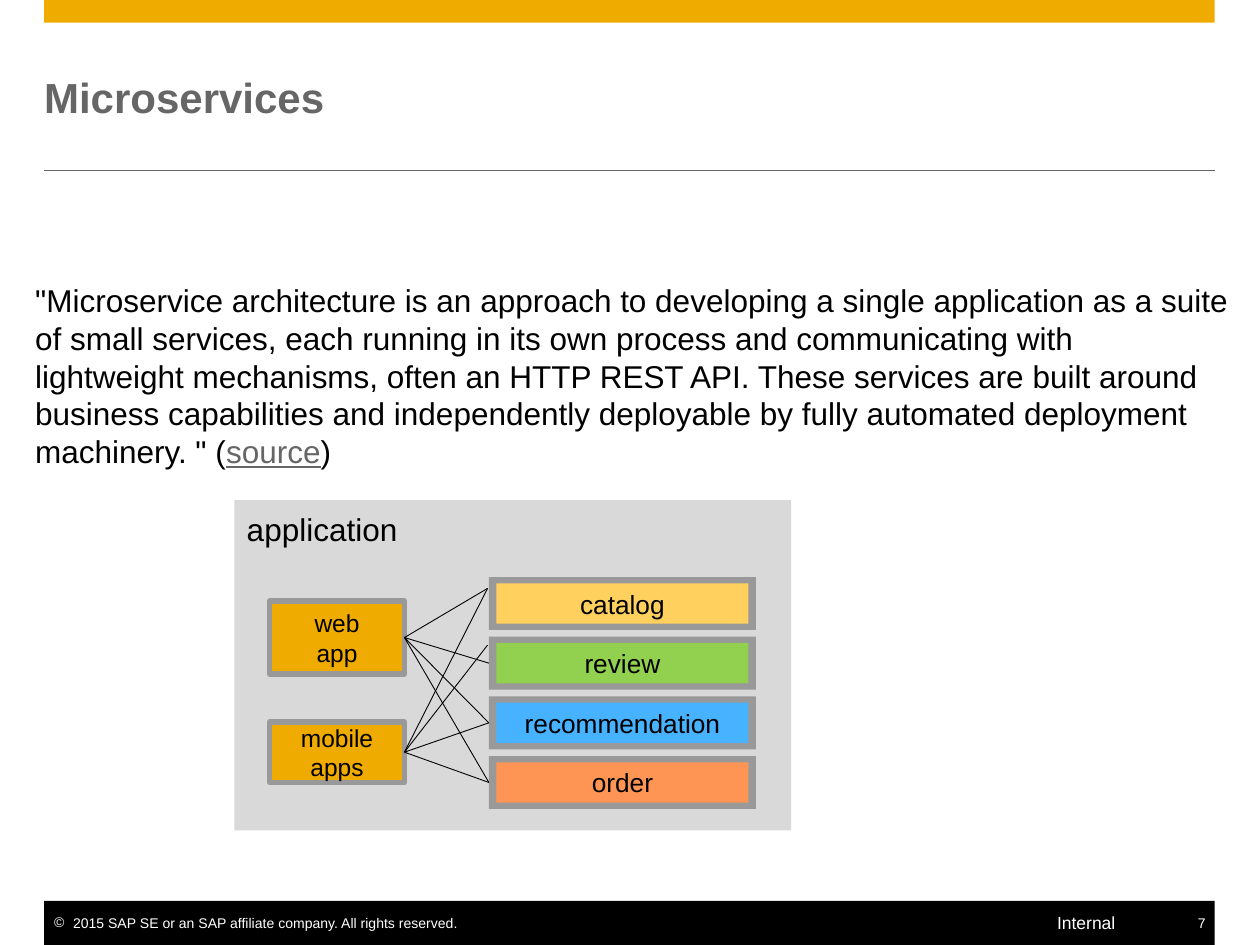
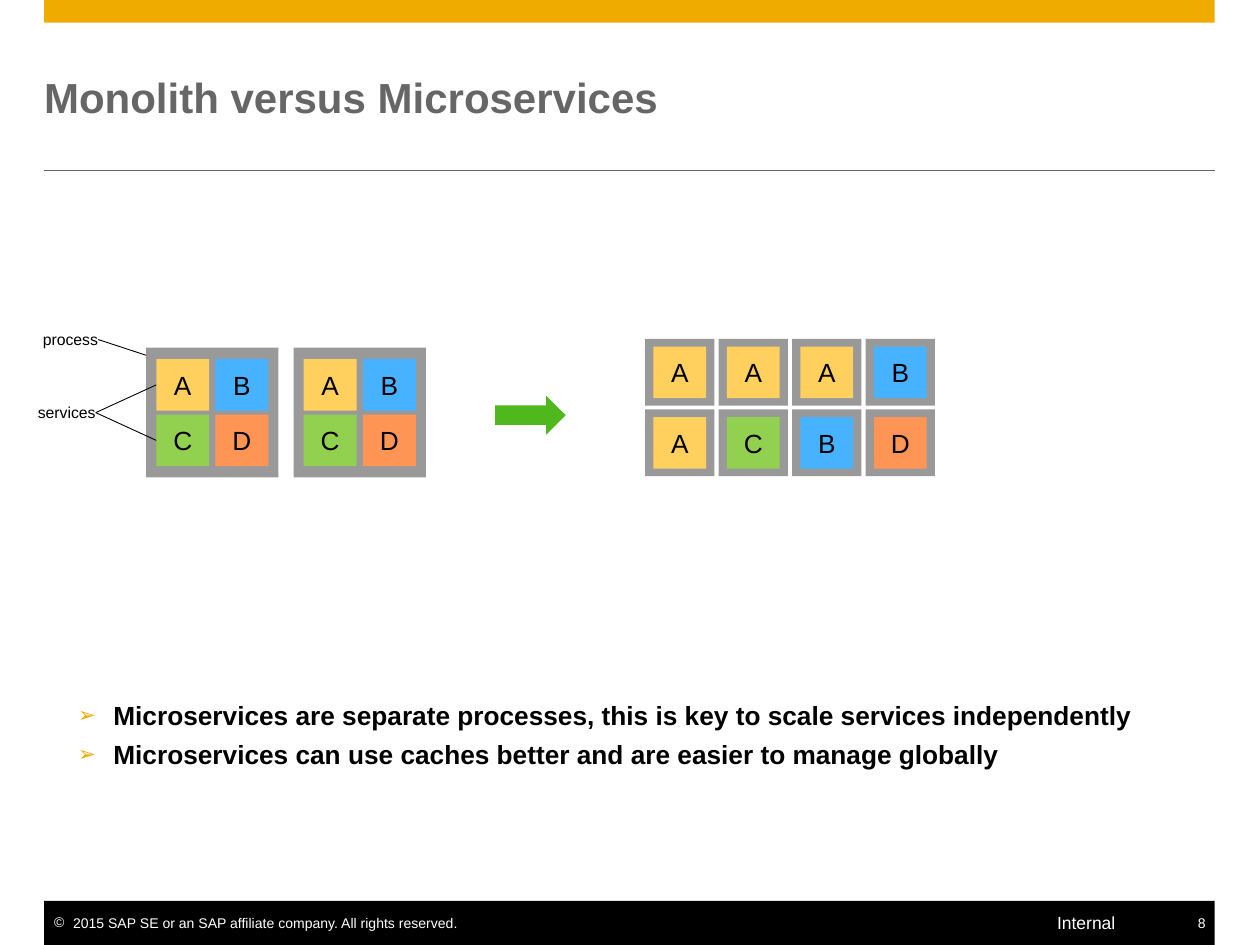
from lxml import etree
from pptx import Presentation
from pptx.dml.color import RGBColor
from pptx.enum.shapes import MSO_CONNECTOR, MSO_SHAPE
from pptx.enum.text import MSO_ANCHOR, PP_ALIGN
from pptx.oxml.ns import qn
from pptx.util import Inches, Pt

RECT, ARROW = MSO_SHAPE.RECTANGLE, MSO_SHAPE.RIGHT_ARROW
STRAIGHT = MSO_CONNECTOR.STRAIGHT
TOP, MIDDLE = MSO_ANCHOR.TOP, MSO_ANCHOR.MIDDLE
LEFT, CENTER, RIGHT = PP_ALIGN.LEFT, PP_ALIGN.CENTER, PP_ALIGN.RIGHT
WEST, EAST = 1, 3  # connection sites of a rectangle

FONT = "Arial"
BLACK, WHITE, DARK, GRAY, PALE = "000000", "FFFFFF", "666666", "999999", "D9D9D9"
GOLD, YELLOW, LIME = "F0AB00", "FFD05D", "92D050"
BLUE, ORANGE, GREEN = "47B2FF", "FF9555", "4FB81C"
TILES = {"A": YELLOW, "B": BLUE, "C": LIME, "D": ORANGE}
EDGE, SPAN = 0.35, 9.29  # left edge and width of title and bands
TILE = (0.42, 0.41)
FRAME = (0.55, 0.53)


def color(code):
    return RGBColor.from_string(code)


def inches(values):
    return [Inches(v) for v in values]


def add_run(para, text, size, ink=BLACK, bold=False, under=False):
    run = para.add_run()
    run.text = text
    font = run.font
    font.name, font.size, font.bold, font.underline = FONT, Pt(size), bold, under
    font.color.rgb = color(ink)


def set_frame(shape, pad, anchor=TOP, wrap=True):
    frame = shape.text_frame
    frame.margin_left, frame.margin_top, frame.margin_right, frame.margin_bottom = inches(pad)
    frame.vertical_anchor, frame.word_wrap = anchor, wrap
    return frame


def add_block(slide, box, fill, line=None, kind=RECT):
    shape = slide.shapes.add_shape(kind, *inches(box))
    shape.shadow.inherit = False
    shape.fill.solid()
    shape.fill.fore_color.rgb = color(fill)
    if line:
        shape.line.color.rgb = color(line)
        shape.line.width = Pt(3)
    else:
        shape.line.fill.background()
    return shape


def add_label(slide, box, lines, size, fill, line=None):
    """Filled block with centred text, one string per line."""
    shape = add_block(slide, box, fill, line)
    para = set_frame(shape, (0.07, 0.06, 0.07, 0.06), MIDDLE).paragraphs[0]
    para.alignment = CENTER
    for i, text in enumerate(lines):
        if i:
            para.add_line_break()
        add_run(para, text, size)
    return shape


def add_text(slide, box, text, size, ink=BLACK, bold=False, pad=(0, 0, 0, 0),
             anchor=TOP, wrap=True, align=LEFT, bullet=None):
    shape = slide.shapes.add_textbox(*inches(box))
    para = set_frame(shape, pad, anchor, wrap).paragraphs[0]
    para.alignment = align
    if bullet:
        add_bullet(para, *bullet)
    add_run(para, text, size, ink, bold)
    return shape


def add_bullet(para, char, ink, percent, indent):
    props = para._p.get_or_add_pPr()
    props.set("marL", str(Inches(indent)))
    props.set("indent", str(-Inches(indent)))
    tint = etree.SubElement(props, qn("a:buClr"))
    etree.SubElement(tint, qn("a:srgbClr"), val=ink)
    etree.SubElement(props, qn("a:buSzPct"), val=str(percent * 1000))
    etree.SubElement(props, qn("a:buFont"), typeface=FONT)
    etree.SubElement(props, qn("a:buChar"), char=char)


def add_line(slide, start, end, ink=BLACK):
    """Thin line; an end is a point or a (shape, site) pair."""
    line = slide.shapes.add_connector(STRAIGHT, 0, 0, 0, 0)
    line.line.color.rgb = color(ink)
    line.line.width = Pt(0.5)
    etree.SubElement(line._element.spPr, qn("a:effectLst"))
    if isinstance(start[0], float):
        line.begin_x, line.begin_y = inches(start)
    else:
        line.begin_connect(*start)
    if isinstance(end[0], float):
        line.end_x, line.end_y = inches(end)
    else:
        line.end_connect(*end)


def grid(box, cols, rows, cell):
    """Boxes of equal size spread evenly over box, row by row."""
    x, y, w, h = box
    cw, ch = cell
    dx = (w - cw) / (cols - 1) if cols > 1 else 0
    dy = (h - ch) / (rows - 1) if rows > 1 else 0
    return [(x + c * dx, y + r * dy, cw, ch) for r in range(rows) for c in range(cols)]


def inset(box, dx, dy):
    x, y, w, h = box
    return x + dx, y + dy, w - 2 * dx, h - 2 * dy


def add_base(prs, title, number):
    """Slide with bands, title and footer."""
    slide = prs.slides.add_slide(prs.slide_layouts[6])
    add_block(slide, (EDGE, 0, SPAN, 0.18), GOLD)
    add_line(slide, (EDGE, 1.35), (EDGE + SPAN, 1.35), DARK)
    add_text(slide, (EDGE, 0.35, SPAN, 0.83), title, 24, DARK, True, anchor=MIDDLE)
    # Footer
    add_block(slide, (EDGE, 7.15, SPAN, 0.35), BLACK)
    add_text(slide, (EDGE, 7.26, 3.34, 0.13),
             "2015 SAP SE or an SAP affiliate company. All rights reserved.", 8, WHITE,
             pad=(0.08, 0, 0, 0), wrap=False, bullet=("©", WHITE, 100, 0.15))
    add_text(slide, (8.39, 7.24, 0.9, 0.17), "Internal", 10, WHITE)
    add_text(slide, (9.43, 7.26, 0.22, 0.13), str(number), 8, WHITE,
             pad=(0, 0, 0.08, 0), wrap=False, align=RIGHT)
    return slide


def add_app(slide, box):
    """Clients wired to a stack of services."""
    x, y, w, h = box
    panel = add_block(slide, box, PALE)
    para = set_frame(panel, (0.1, 0.08, 0.1, 0.08)).paragraphs[0]
    para.alignment = LEFT
    add_run(para, "application", 18)
    # Clients
    web = add_label(slide, (x + 0.28, y + 0.8, 1.07, 0.58), ["web", "app"], 14, GOLD, GRAY)
    mobile = add_label(slide, (x + 0.28, y + 1.76, 1.07, 0.48), ["mobile apps"], 14, GOLD, GRAY)
    # Services
    names = {"catalog": YELLOW, "review": LIME, "recommendation": BLUE, "order": ORANGE}
    stack = grid((x + 2.02, y + 0.61, 2.12, 1.84), 1, len(names), (2.12, 0.42))
    hubs = []
    for spot, (name, fill) in zip(stack, names.items()):
        hubs.append(add_block(slide, spot, GRAY))
        add_label(slide, inset(spot, 0.06, 0.05), [name], 15, fill)
    # Calls from each client to each service
    top = (x + 2.01, y + 0.7)
    review, advice, order = [(hub, WEST) for hub in hubs[1:]]
    for client, ends in ((web, (top, review, advice, order)),
                         (mobile, (top, (x + 2.01, y + 1.15), advice, order))):
        for end in ends:
            add_line(slide, (client, EAST), end)


def add_monolith(slide, box):
    """One process holding all four services."""
    add_block(slide, box, GRAY)
    spots = grid(inset(box, 0.08, 0.09), 2, 2, TILE)
    return [add_label(slide, spot, [name], 15, TILES[name])
            for spot, name in zip(spots, "ABCD")]


def add_cluster(slide, box):
    """Each service in a process of its own."""
    dx, dy = [(f - t) / 2 for f, t in zip(FRAME, TILE)]
    for spot, name in zip(grid(box, 4, 2, FRAME), "AAABACBD"):
        add_block(slide, spot, GRAY)
        add_label(slide, inset(spot, dx, dy), [name], 15, TILES[name])


def add_legend(slide, box, tiles):
    """Callouts for the first process and two of its services."""
    x, y = box[:2]
    process = add_text(slide, (x - 0.82, y - 0.14, 0.44, 0.15), "process", 9, wrap=False)
    service = add_text(slide, (x - 0.86, y + 0.44, 0.46, 0.15), "services", 9, wrap=False)
    add_line(slide, (process, EAST), (x, y + 0.06))
    for tile in (tiles[0], tiles[2]):
        add_line(slide, (service, EAST), (tile, WEST))


def add_points(slide, box, points):
    shape = slide.shapes.add_textbox(*inches(box))
    frame = set_frame(shape, (0, 0, 0, 0))
    for i, text in enumerate(points):
        para = frame.add_paragraph() if i else frame.paragraphs[0]
        add_bullet(para, "➢", GOLD, 80, 0.28)
        if i:
            para.space_before = Pt(4.5)
        add_run(para, text, 15, bold=True)


def add_quote(slide, box):
    text = ("\"Microservice architecture is an approach to developing a single application "
            "as a suite of small services, each running in its own process and communicating "
            "with lightweight mechanisms, often an HTTP REST API. These services are built "
            "around business capabilities and independently deployable by fully automated "
            "deployment machinery. \" (")
    para = add_text(slide, box, text, 18).text_frame.paragraphs[0]
    add_run(para, "source", 18, DARK, under=True)
    add_run(para, ")", 18)


def main():
    prs = Presentation()
    prs.slide_width, prs.slide_height = Inches(10), Inches(7.5)

    # Definition
    slide = add_base(prs, "Microservices", 7)
    add_quote(slide, (0.28, 2.23, 9.47, 1.74))
    add_app(slide, (1.86, 3.97, 4.42, 2.62))

    # Comparison
    slide = add_base(prs, "Monolith versus Microservices", 8)
    first, second = grid((1.16, 2.76, 2.22, 1.03), 2, 1, (1.05, 1.03))
    add_legend(slide, first, add_monolith(slide, first))
    add_monolith(slide, second)
    add_block(slide, (3.93, 3.14, 0.56, 0.31), GREEN, kind=ARROW)
    add_cluster(slide, (5.12, 2.69, 2.3, 1.09))
    add_points(slide, (0.62, 5.55, 9.08, 0.53), [
        "Microservices are separate processes, this is key to scale services independently",
        "Microservices can use caches better and are easier to manage globally"])

    prs.save("out.pptx")


if __name__ == "__main__":
    main()
